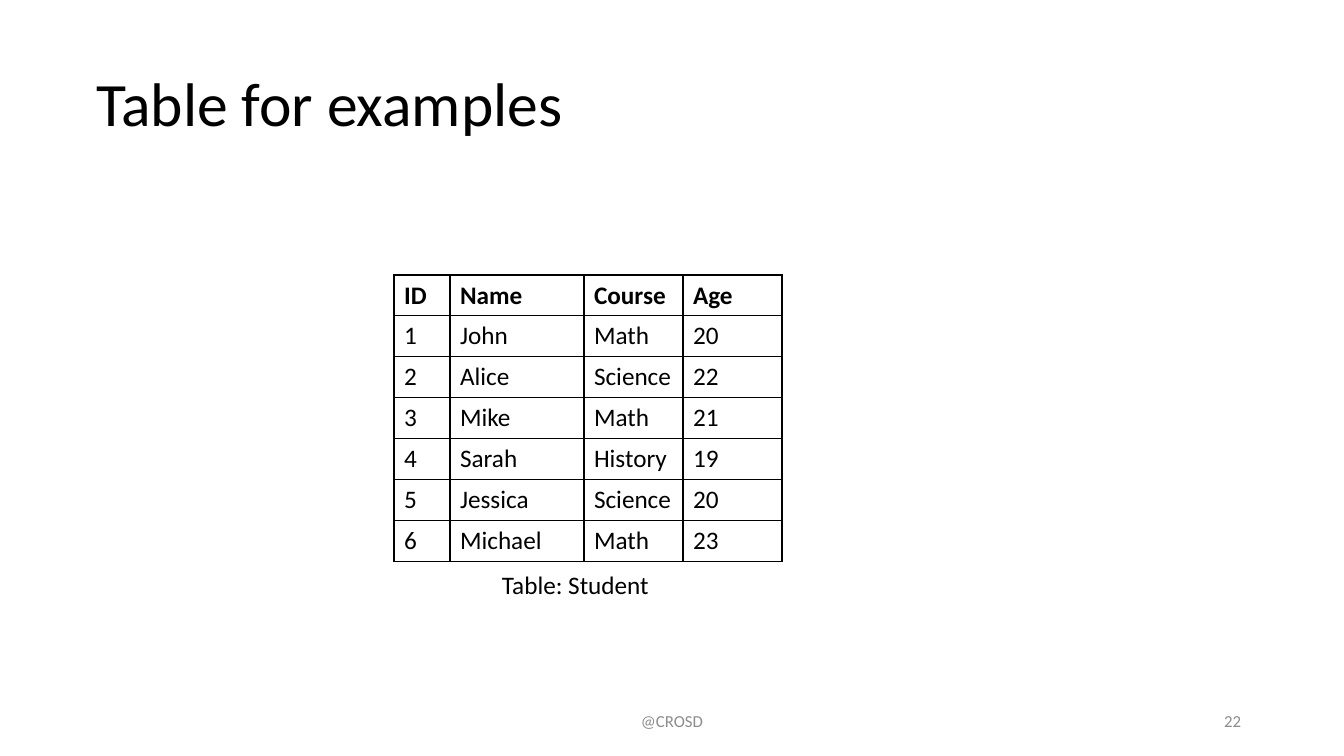
from lxml import etree
from pptx import Presentation
from pptx import util as u
from pptx.dml.color import RGBColor
from pptx.enum import text
from pptx.oxml.ns import qn

TITLE = "Table for examples"
STUDENTS = [
    ("ID", "Name", "Course", "Age"),
    ("1", "John", "Math", "20"),
    ("2", "Alice", "Science", "22"),
    ("3", "Mike", "Math", "21"),
    ("4", "Sarah", "History", "19"),
    ("5", "Jessica", "Science", "20"),
    ("6", "Michael", "Math", "23"),
]
COLUMN_WIDTHS = (56, 134, 99, 99)
ROW_HEIGHT = 37
FONT, BLACK, GREY = "Calibri", "000000", "8C8C8C"
LEFT, CENTER, RIGHT = text.PP_ALIGN.LEFT, text.PP_ALIGN.CENTER, text.PP_ALIGN.RIGHT
TOP, MIDDLE = text.MSO_ANCHOR.TOP, text.MSO_ANCHOR.MIDDLE
LABELS = [  # wording, box, size, colour, alignment, anchor
    ("Table: Student", (492, 564, 276, 40), 18, BLACK, LEFT, TOP),
    ("@CROSD", (445, 701, 454, 40), 12, GREY, CENTER, MIDDLE),
    ("22", (949, 701, 302, 40), 12, GREY, RIGHT, MIDDLE),
]


def px(length):
    return u.Emu(round(length * 914400 / 100.8))


def rgb(value):
    return RGBColor.from_string(value)


def write(frame, wording, size, color=BLACK, bold=False, align=LEFT):
    frame.text = wording
    paragraph = frame.paragraphs[0]
    paragraph.alignment = align
    font = paragraph.runs[0].font
    font.name, font.size, font.bold = FONT, u.Pt(size), bold
    font.color.rgb = rgb(color)


def add_borders(cell):
    properties = cell._tc.get_or_add_tcPr()
    for position, side in enumerate(("lnL", "lnR", "lnT", "lnB")):
        line = etree.Element(qn("a:" + side), w=str(u.Pt(1)))
        fill = etree.SubElement(line, qn("a:solidFill"))
        etree.SubElement(fill, qn("a:srgbClr"), val=BLACK)
        properties.insert(position, line)


def add_title(slide):
    title = slide.shapes.title
    title.left, title.top, title.width, title.height = map(px, (86, 34, 1159, 146))
    write(title.text_frame, TITLE, 44)
    title.text_frame.vertical_anchor = MIDDLE
    title.text_frame.paragraphs[0].line_spacing = 0.9


def add_student_table(slide):
    frame = slide.shapes.add_table(
        len(STUDENTS), len(COLUMN_WIDTHS), px(394), px(275),
        px(sum(COLUMN_WIDTHS)), px(ROW_HEIGHT * len(STUDENTS)))
    table = frame.table
    table.horz_banding = False
    for column, width in zip(table.columns, COLUMN_WIDTHS):
        column.width = px(width)
    for row_index, student in enumerate(STUDENTS):
        table.rows[row_index].height = px(ROW_HEIGHT)
        for column_index, value in enumerate(student):
            cell = table.cell(row_index, column_index)
            write(cell.text_frame, value, 18, bold=row_index == 0)
            cell.fill.background()
            add_borders(cell)


def add_label(slide, wording, box, size, color, align, anchor):
    frame = slide.shapes.add_textbox(*map(px, box)).text_frame
    frame.word_wrap = True
    frame.vertical_anchor = anchor
    write(frame, wording, size, color, align=align)


def main():
    presentation = Presentation()
    presentation.slide_width, presentation.slide_height = px(1344), px(756)
    slide = presentation.slides.add_slide(presentation.slide_layouts[5])
    add_title(slide)
    add_student_table(slide)
    for label in LABELS:
        add_label(slide, *label)
    presentation.save("out.pptx")


if __name__ == "__main__":
    main()
